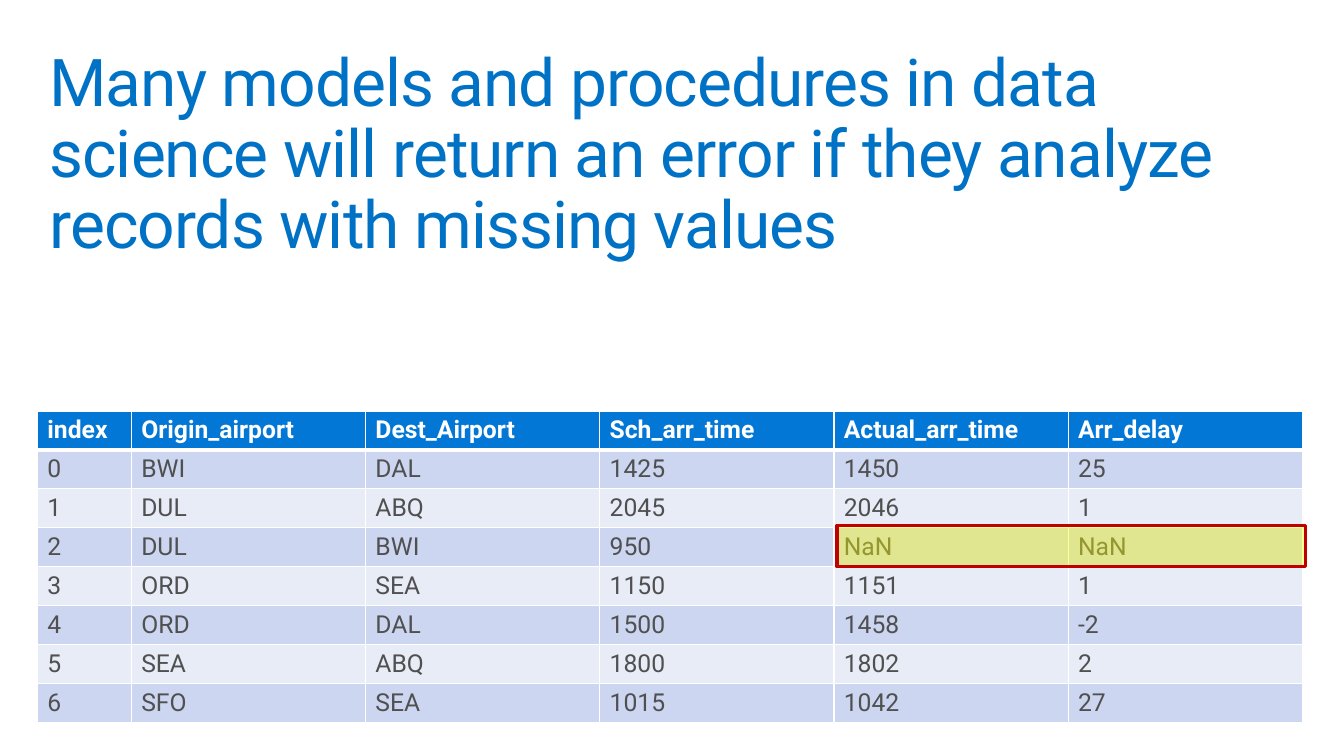
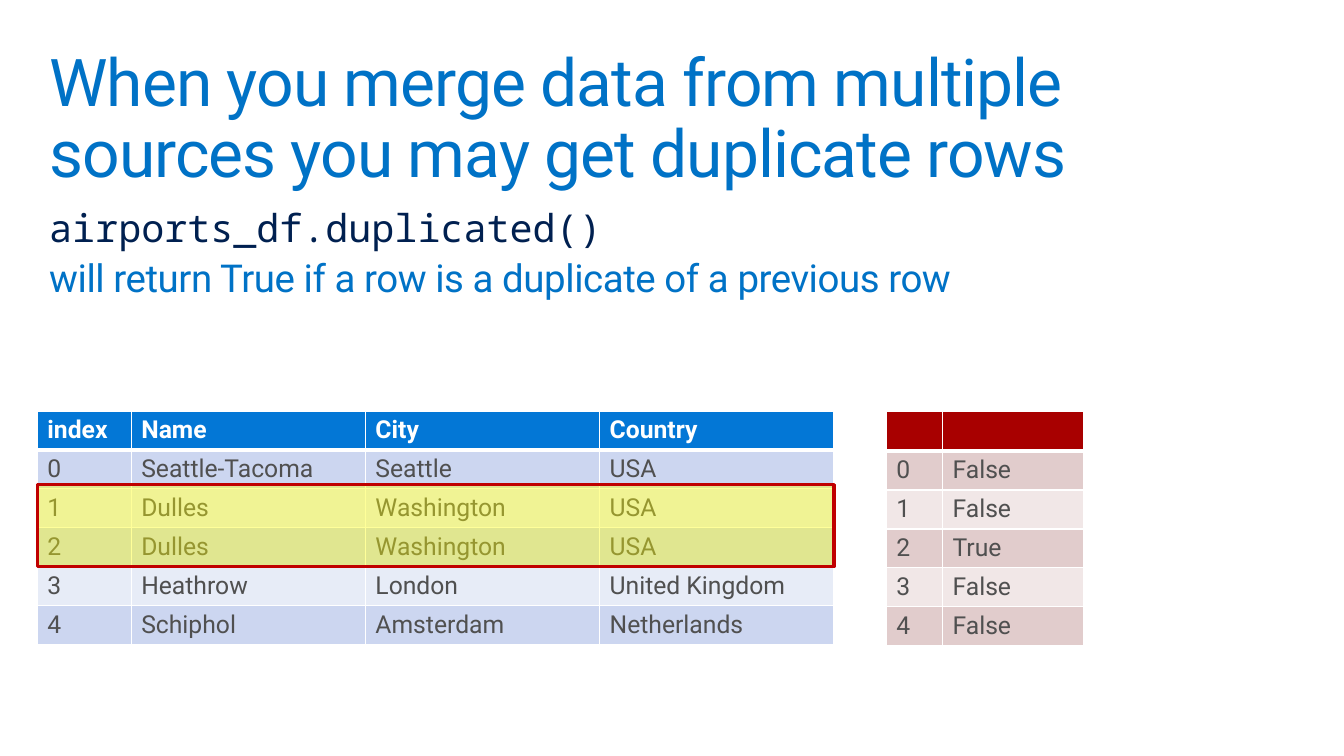
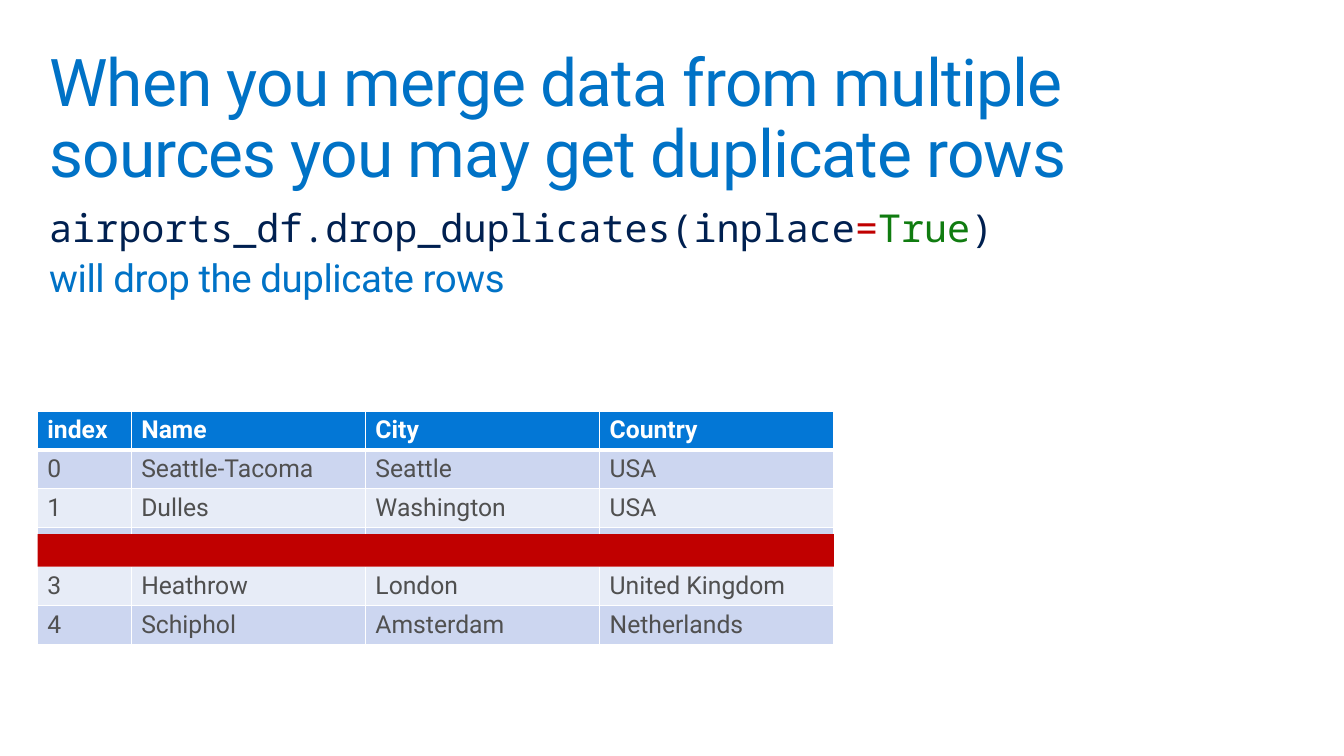
from collections import namedtuple

from lxml import etree
from pptx import Presentation
from pptx.dml.color import RGBColor
from pptx.enum.shapes import MSO_SHAPE
from pptx.enum.text import MSO_ANCHOR, MSO_AUTO_SIZE, PP_ALIGN
from pptx.oxml.ns import qn
from pptx.util import Cm, Inches, Pt

RECTANGLE = MSO_SHAPE.RECTANGLE
TOP = MSO_ANCHOR.TOP
NO_AUTOSIZE = MSO_AUTO_SIZE.NONE
LEFT = PP_ALIGN.LEFT

WHITE = RGBColor(0xFF, 0xFF, 0xFF)
TITLE_BLUE = RGBColor(0x00, 0x72, 0xC6)
HEADER_BLUE = RGBColor(0x03, 0x77, 0xD6)
BLUE_BAND = RGBColor(0xCC, 0xD6, 0xF0)
PALE_BLUE = RGBColor(0xE7, 0xEC, 0xF7)
HEADER_RED = RGBColor(0xA8, 0x00, 0x00)
RED_BAND = RGBColor(0xE1, 0xCC, 0xCC)
PALE_RED = RGBColor(0xF1, 0xE7, 0xE7)
NAVY = RGBColor(0x00, 0x20, 0x50)
RED = RGBColor(0xC0, 0x00, 0x00)
GREEN = RGBColor(0x10, 0x7C, 0x10)
YELLOW = RGBColor(0xFF, 0xFF, 0x00)
GREY = RGBColor(0x50, 0x50, 0x50)

Palette = namedtuple("Palette", "header band pale")
BLUES = Palette(HEADER_BLUE, BLUE_BAND, PALE_BLUE)
REDS = Palette(HEADER_RED, RED_BAND, PALE_RED)

SANS = "Roboto"
MONO = "Noto Sans Mono"
TITLE_FONT = {"name": SANS, "size": Pt(48)}
CODE_FONT = {"name": MONO, "size": Pt(28)}
NOTE_FONT = {"name": SANS, "size": Pt(28)}
HEADER_FONT = {"name": SANS, "size": Pt(18), "bold": True}
CELL_FONT = {"name": SANS, "size": Pt(18), "bold": False}

PAGE_WIDTH, PAGE_HEIGHT = Inches(13.6), Inches(7.65)
MARGIN = Inches(0.4)
CONTENT_WIDTH = PAGE_WIDTH - 2 * MARGIN
INSET = Inches(0.1)

TABLE_LEFT, TABLE_TOP = Inches(0.38), Inches(4.16)
ROW_HEIGHT = Cm(1)
INDEX_WIDTH, FIELD_WIDTH = Inches(0.95), Inches(2.37)
AIRPORT_COLUMNS = [INDEX_WIDTH] + [FIELD_WIDTH] * 3
AIRPORT_WIDTH = sum(AIRPORT_COLUMNS)
MARK_BOTTOM = TABLE_TOP + 4 * ROW_HEIGHT

FLIGHTS = [
    ("index", "Origin_airport", "Dest_Airport", "Sch_arr_time", "Actual_arr_time", "Arr_delay"),
    ("0", "BWI", "DAL", "1425", "1450", "25"),
    ("1", "DUL", "ABQ", "2045", "2046", "1"),
    ("2", "DUL", "BWI", "950", "NaN", "NaN"),
    ("3", "ORD", "SEA", "1150", "1151", "1"),
    ("4", "ORD", "DAL", "1500", "1458", "-2"),
    ("5", "SEA", "ABQ", "1800", "1802", "2"),
    ("6", "SFO", "SEA", "1015", "1042", "27"),
]
AIRPORTS = [
    ("index", "Name", "City", "Country"),
    ("0", "Seattle-Tacoma", "Seattle", "USA"),
    ("1", "Dulles", "Washington", "USA"),
    ("2", "Dulles", "Washington", "USA"),
    ("3", "Heathrow", "London", "United Kingdom"),
    ("4", "Schiphol", "Amsterdam", "Netherlands"),
]
DUPLICATED = [
    ("", ""),
    ("0", "False"),
    ("1", "False"),
    ("2", "True"),
    ("3", "False"),
    ("4", "False"),
]
MERGE_TITLE = "When you merge data from multiple sources you may get duplicate rows"


def apply(target, values):
    for name, value in values.items():
        setattr(target, name, value)


def add_run(para, text, font, color, spacing=0):
    span = para.add_run()
    span.text = text
    apply(span.font, font)
    span.font.color.rgb = color
    if spacing:
        span.font._element.set("spc", str(spacing))


def format_frame(frame):
    apply(frame, {
        "word_wrap": True,
        "auto_size": NO_AUTOSIZE,
        "vertical_anchor": TOP,
        "margin_left": INSET,
        "margin_right": INSET,
        "margin_top": INSET,
        "margin_bottom": INSET,
    })


def add_page(deck, title):
    page = deck.slides.add_slide(deck.slide_layouts.get_by_name("Title Only"))
    box = page.shapes.title
    apply(box, {"left": MARGIN, "top": MARGIN, "width": CONTENT_WIDTH, "height": Inches(1)})
    format_frame(box.text_frame)
    para = box.text_frame.paragraphs[0]
    apply(para, {"alignment": LEFT, "line_spacing": 0.9})
    add_run(para, title, TITLE_FONT, TITLE_BLUE, -70)
    return page


def add_explanation(page, code, note):
    box = page.shapes.add_textbox(MARGIN, Inches(2.02), CONTENT_WIDTH, Inches(1.12))
    format_frame(box.text_frame)
    code_para = box.text_frame.paragraphs[0]
    note_para = box.text_frame.add_paragraph()
    apply(code_para, {"line_spacing": 0.9})
    apply(note_para, {"line_spacing": 0.9, "space_before": Pt(6)})
    for text, color in code:
        add_run(code_para, text, CODE_FONT, color)
    add_run(note_para, note, NOTE_FONT, TITLE_BLUE, -30)


def add_borders(cell, row):
    properties = cell._tc.get_or_add_tcPr()
    widths = {"lnL": 1, "lnR": 1, "lnT": 3 if row == 1 else 1, "lnB": 3 if row == 0 else 1}
    for side, width in widths.items():
        line = etree.SubElement(properties, qn(f"a:{side}"), w=str(Pt(width)))
        fill = etree.SubElement(line, qn("a:solidFill"))
        etree.SubElement(fill, qn("a:srgbClr"), val=str(WHITE))


def add_grid(page, left, columns, records, palette):
    frame = page.shapes.add_table(
        len(records), len(columns), left, TABLE_TOP, sum(columns), ROW_HEIGHT * len(records))
    table = frame.table
    table.horz_banding = False
    for column, width in zip(table.columns, columns):
        column.width = width
    for row, record in enumerate(records):
        table.rows[row].height = ROW_HEIGHT
        if row == 0:
            fill, font, color = palette.header, HEADER_FONT, WHITE
        else:
            fill, font, color = palette.band if row % 2 else palette.pale, CELL_FONT, GREY
        for column, text in enumerate(record):
            cell = table.cell(row, column)
            add_borders(cell, row)
            cell.fill.solid()
            cell.fill.fore_color.rgb = fill
            if text:
                add_run(cell.text_frame.paragraphs[0], text, font, color)


def add_mark(page, left, width, height, color):
    box = page.shapes.add_shape(RECTANGLE, left, MARK_BOTTOM - height, width, height)
    box.shadow.inherit = False
    box.fill.solid()
    box.fill.fore_color.rgb = color
    box.line.fill.background()
    return box


def add_highlight(page, left, width, height):
    box = add_mark(page, left, width, height, YELLOW)
    color = box.element.spPr.find(qn("a:solidFill")).find(qn("a:srgbClr"))
    etree.SubElement(color, qn("a:alpha"), val="40000")
    box.line.color.rgb = RED
    box.line.width = Pt(2.25)


def add_missing_values_page(deck):
    page = add_page(deck, "Many models and procedures in data science will return an error "
                          "if they analyze records with missing values")
    add_grid(page, TABLE_LEFT, [INDEX_WIDTH] + [FIELD_WIDTH] * 5, FLIGHTS, BLUES)
    add_highlight(page, TABLE_LEFT + AIRPORT_WIDTH + Inches(0.03), 2 * FIELD_WIDTH, Inches(0.42))


def add_find_duplicates_page(deck):
    page = add_page(deck, MERGE_TITLE)
    add_explanation(page, [("airports_df.duplicated()", NAVY)],
                    "will return True if a row is a duplicate of a previous row")
    add_grid(page, TABLE_LEFT, AIRPORT_COLUMNS, AIRPORTS, BLUES)
    add_highlight(page, TABLE_LEFT, AIRPORT_WIDTH, Inches(0.83))
    add_grid(page, Inches(8.97), [Inches(0.57), Inches(1.43)], DUPLICATED, REDS)


def add_drop_duplicates_page(deck):
    page = add_page(deck, MERGE_TITLE)
    code = [("airports_df.drop_duplicates(inplace", NAVY), ("=", RED), ("True", GREEN), (")", NAVY)]
    add_explanation(page, code, "will drop the duplicate rows")
    add_grid(page, TABLE_LEFT, AIRPORT_COLUMNS, AIRPORTS, BLUES)
    add_mark(page, TABLE_LEFT, AIRPORT_WIDTH, Inches(0.33), RED)


def main():
    deck = Presentation()
    apply(deck, {"slide_width": PAGE_WIDTH, "slide_height": PAGE_HEIGHT})
    add_missing_values_page(deck)
    add_find_duplicates_page(deck)
    add_drop_duplicates_page(deck)
    deck.save("out.pptx")


if __name__ == "__main__":
    main()
